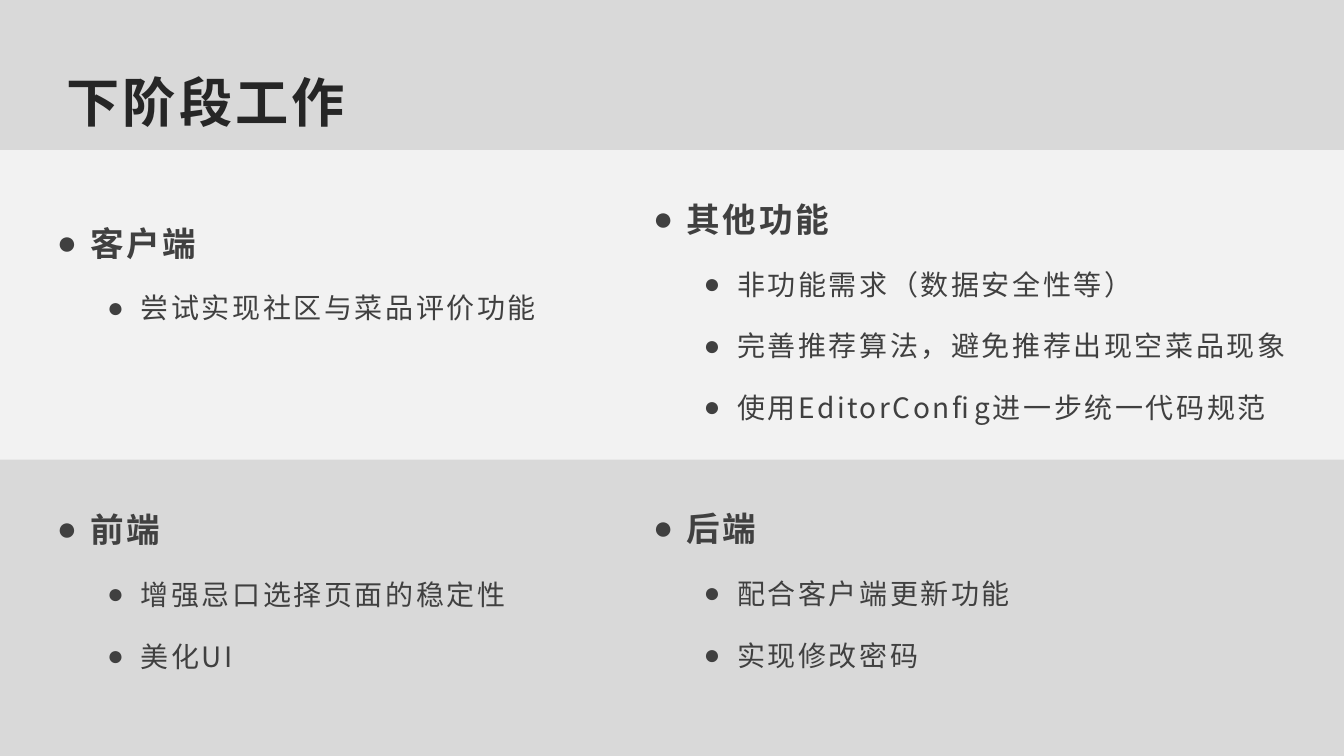
from lxml import etree
from pptx import Presentation
from pptx.dml.color import RGBColor
from pptx.enum.shapes import MSO_SHAPE
from pptx.enum.text import MSO_ANCHOR, MSO_AUTO_SIZE, PP_ALIGN
from pptx.oxml.ns import qn
from pptx.util import Pt

RECT = MSO_SHAPE.RECTANGLE
MIDDLE = MSO_ANCHOR.MIDDLE
NO_FIT = MSO_AUTO_SIZE.NONE
CENTER = PP_ALIGN.CENTER

FONT = "Noto Sans CJK SC"
GREY, PALE, DARK, INK = "D9D9D9", "F2F2F2", "262626", "404040"
WIDE, HIGH = 960, 540
BAND_TOP, BAND_HIGH = 107.2, 221.2
LEFT, RIGHT = 33.5, 459.5
HANG = 24

TITLE = "下阶段工作"
# left, top, width, height, heading, items
GROUPS = [
    (LEFT, 141, 424, 120, "客户端", ["尝试实现社区与菜品评价功能"]),
    (RIGHT, 124, 480, 184, "其他功能", [
        "非功能需求（数据安全性等）",
        "完善推荐算法，避免推荐出现空菜品现象",
        "使用EditorConfig进一步统一代码规范",
    ]),
    (LEFT, 345.7, 366, 170, "前端", ["增强忌口选择页面的稳定性", "美化UI"]),
    (RIGHT, 345, 337, 140, "后端", ["配合客户端更新功能", "实现修改密码"]),
]


def paint(fill, color):
    fill.solid()
    fill.fore_color.rgb = RGBColor.from_string(color)


def style(para, size, color, bold, gap):
    """Format every run; gap is the letter spacing in points."""
    for run in para.runs:
        font = run.font
        font.size, font.bold, font.name = Pt(size), bold, FONT
        paint(font.fill, color)
        props = run._r.get_or_add_rPr()
        props.set("spc", str(round(gap * 100)))
        etree.SubElement(props, qn("a:ea")).set("typeface", FONT)


def add_bullet(para, indent):
    props = para._p.get_or_add_pPr()
    props.set("marL", str(Pt(indent)))
    props.set("indent", str(Pt(-HANG)))
    etree.SubElement(props, qn("a:buFont")).set("typeface", "Arial")
    etree.SubElement(props, qn("a:buChar")).set("char", "●")


def add_group(slide, left, top, width, height, head, items):
    box = slide.shapes.add_textbox(Pt(left), Pt(top), Pt(width), Pt(height))
    frame = box.text_frame
    frame.word_wrap = True
    frame.text = "\n".join([head, *items])
    for i, para in enumerate(frame.paragraphs):
        sub = i > 0
        para.level = int(sub)
        add_bullet(para, 60 if sub else HANG)
        para.line_spacing = 1.5
        para.space_after = Pt(8)
        style(para, 20 if sub else 24, INK, not sub, 1.8)


def add_title(slide):
    title = slide.shapes.title
    title.left, title.top = Pt(21), Pt(-6)
    title.width, title.height = Pt(252), Pt(156)
    frame = title.text_frame
    frame.text = TITLE
    frame.word_wrap = True
    frame.auto_size = NO_FIT
    frame.vertical_anchor = MIDDLE
    frame.margin_left = frame.margin_right = Pt(5)
    frame.margin_top = frame.margin_bottom = Pt(2)
    para = frame.paragraphs[0]
    para.alignment = CENTER
    style(para, 38, DARK, True, 2.2)


def main():
    deck = Presentation()
    deck.slide_width, deck.slide_height = Pt(WIDE), Pt(HIGH)
    slide = deck.slides.add_slide(deck.slide_layouts[5])
    paint(slide.background.fill, GREY)
    add_title(slide)
    band = slide.shapes.add_shape(RECT, 0, Pt(BAND_TOP), Pt(WIDE), Pt(BAND_HIGH))
    band.shadow.inherit = False
    paint(band.fill, PALE)
    band.line.fill.background()
    for group in GROUPS:
        add_group(slide, *group)
    deck.save("out.pptx")


if __name__ == "__main__":
    main()
